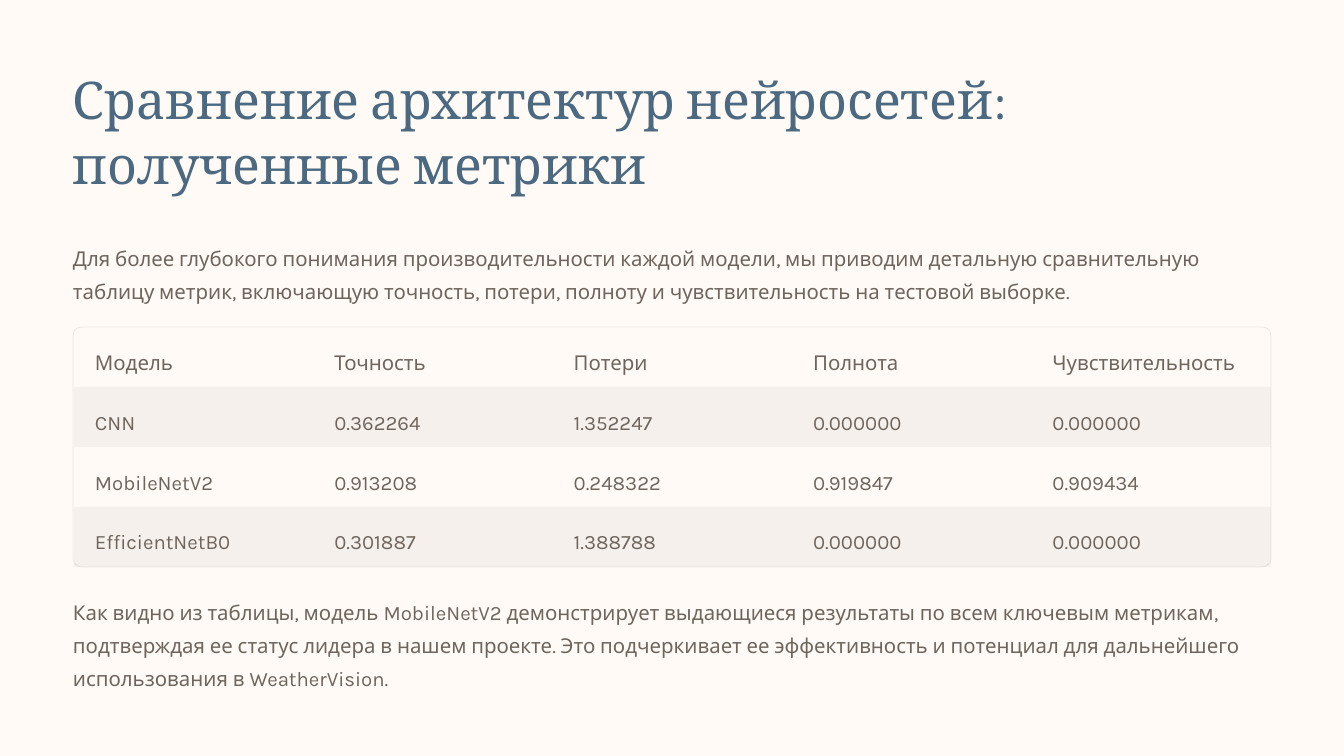
from lxml.etree import SubElement
from pptx import Presentation
from pptx.dml.color import RGBColor
from pptx.enum.shapes import MSO_SHAPE
from pptx.oxml.ns import qn
from pptx.util import Pt

PX = 914400 // 84
COLORS = {"paper": "FFFAF6", "heading": "4B6981", "body": "6F655D",
          "light": "FFFFFF", "dark": "000000"}
HEADING = {"name": "Cambria", "size": Pt(44.5), "color": "heading", "spacing": Pt(55.5)}
BODY = {"name": "Karla", "size": Pt(17.5), "color": "body", "spacing": Pt(28.5)}
NO_GRID_STYLE = "{2D5ABB26-0587-4C30-8999-92F81FD0307C}"


def write(frame, text, style):
    """Put one styled paragraph into a text frame."""
    para = frame.paragraphs[0]
    para.line_spacing = style["spacing"]
    span = para.add_run()
    span.text = text
    for key in ("name", "size"):
        setattr(span.font, key, style[key])
    span.font.color.rgb = RGBColor.from_string(COLORS[style["color"]])


def paint(fill, color, percent):
    """Fill with a colour at the given opacity."""
    fill.solid()
    fill.fore_color.rgb = RGBColor.from_string(COLORS[color])
    tint = fill._xPr.find(qn("a:solidFill"))[0]
    SubElement(tint, qn("a:alpha"), val=str(percent * 1000))


deck = Presentation()
deck.slide_width, deck.slide_height = 1344 * PX, 756 * PX
page = deck.slides.add_slide(deck.slide_layouts[6])
page.background.fill.solid()
page.background.fill.fore_color.rgb = RGBColor.from_string(COLORS["paper"])

# Heading and paragraphs: top, height, style, text
TEXTS = [
    (65, 130, HEADING, "Сравнение архитектур нейросетей: полученные метрики"),
    (237, 66, BODY, "Для более глубокого понимания производительности каждой модели, "
     "мы приводим детальную сравнительную таблицу метрик, включающую точность, "
     "потери, полноту и чувствительность на тестовой выборке."),
    (591, 100, BODY, "Как видно из таблицы, модель MobileNetV2 демонстрирует "
     "выдающиеся результаты по всем ключевым метрикам, подтверждая ее статус лидера "
     "в нашем проекте. Это подчеркивает ее эффективность и потенциал для дальнейшего "
     "использования в WeatherVision."),
]
for top, height, style, text in TEXTS:
    box = page.shapes.add_textbox(73 * PX, top * PX, 1198 * PX, height * PX)
    frame = box.text_frame
    frame.word_wrap = True
    for side in ("left", "top", "right", "bottom"):
        setattr(frame, f"margin_{side}", 0)
    write(frame, text, style)

# Rounded frame around the metrics
border = page.shapes.add_shape(MSO_SHAPE.ROUNDED_RECTANGLE,
                               73 * PX, 327 * PX, 1198 * PX, 240 * PX)
border.adjustments[0] = 0.036
border.shadow.inherit = False
border.fill.background()
border.line.width = Pt(0.6)
paint(border.line.fill, "dark", 8)

# Metrics table over full-width row bands
METRICS = [
    ("Модель", "Точность", "Потери", "Полнота", "Чувствительность"),
    ("CNN", "0.362264", "1.352247", "0.000000", "0.000000"),
    ("MobileNetV2", "0.913208", "0.248322", "0.919847", "0.909434"),
    ("EfficientNetB0", "0.301887", "1.388788", "0.000000", "0.000000"),
]
LEFT, TOP, WIDTH, ROW_HEIGHT = 74, 327, 1197, 60
CELL_MARGINS = {"margin_left": 21 * PX, "margin_top": 15 * PX,
                "margin_right": 0, "margin_bottom": 0}
for row in range(len(METRICS)):
    band = page.shapes.add_shape(MSO_SHAPE.RECTANGLE, LEFT * PX,
                                 (TOP + row * ROW_HEIGHT) * PX,
                                 WIDTH * PX, ROW_HEIGHT * PX)
    band.shadow.inherit = False
    band.line.fill.background()
    paint(band.fill, "dark" if row % 2 else "light", 4)

table = page.shapes.add_table(len(METRICS), len(METRICS[0]), LEFT * PX, TOP * PX,
                              WIDTH * PX, len(METRICS) * ROW_HEIGHT * PX).table
table.first_row = table.horz_banding = False
table._tbl.tblPr.find(qn("a:tableStyleId")).text = NO_GRID_STYLE
for row, values in enumerate(METRICS):
    for column, value in enumerate(values):
        cell = table.cell(row, column)
        for key, margin in CELL_MARGINS.items():
            setattr(cell, key, margin)
        cell.fill.background()
        write(cell.text_frame, value, BODY)

deck.save("out.pptx")
